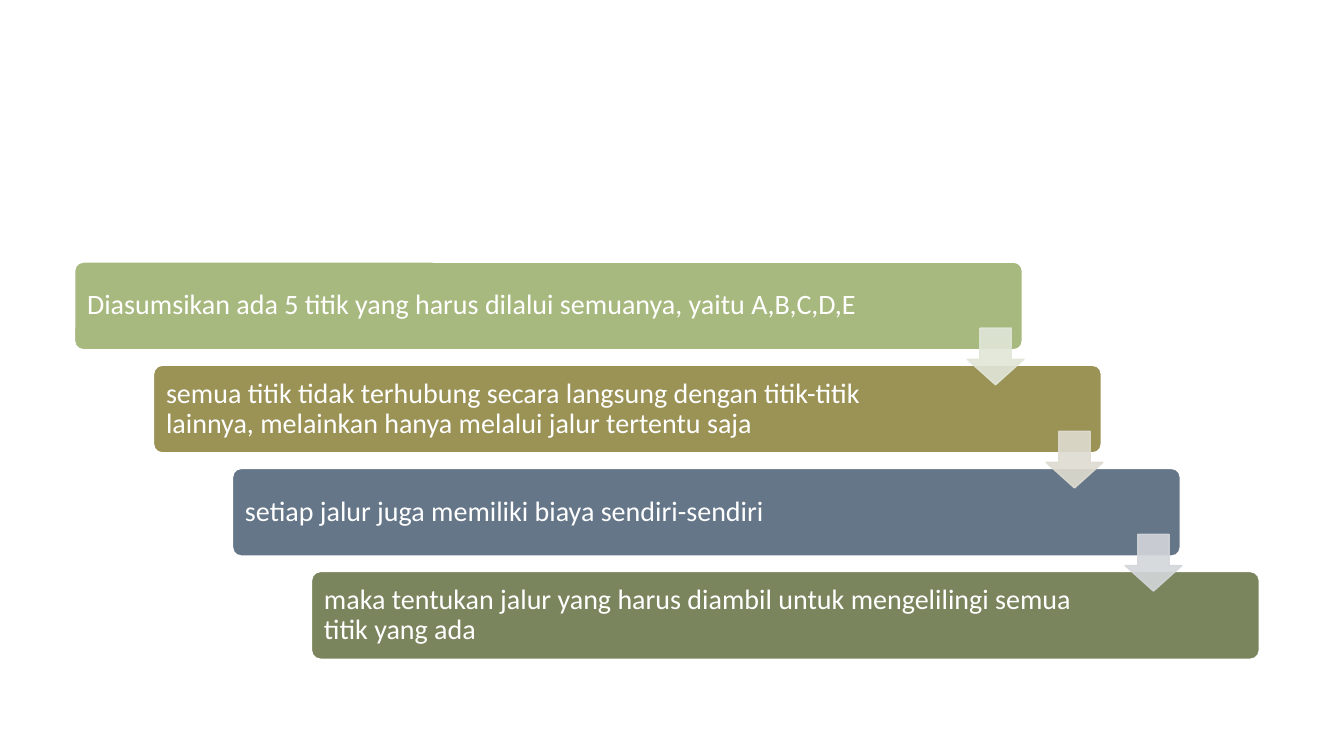
from lxml.etree import SubElement
from pptx import Presentation
from pptx.dml.color import RGBColor
from pptx.enum.shapes import MSO_SHAPE as Preset
from pptx.enum.text import MSO_ANCHOR as Anchor, PP_ALIGN as Align
from pptx.oxml.ns import qn
from pptx.util import Inches, Pt

LEFT, TOP = 0.74, 2.6
COLUMN, ROW = 2.35 / 3, 3.07 / 3
BAR_SIZE = 12, 0.85
ARROW_SIZE = 0.72, 0.55
ARROW_OFFSET = 11.3, 0.64

STEPS = [
    ("Diasumsikan ada 5 titik yang harus dilalui semuanya, yaitu A,B,C,D,E", "A8B97F"),
    ("semua titik tidak terhubung secara langsung dengan titik-titik lainnya, "
     "melainkan hanya melalui jalur tertentu saja", "9B9256"),
    ("setiap jalur juga memiliki biaya sendiri-sendiri", "657689"),
    ("maka tentukan jalur yang harus diambil untuk mengelilingi semua titik yang ada", "7A855D"),
]
ARROW_COLORS = ["E1E6D8", "DEDCD1", "D3D6DA"]


def paint(color_format, color, opacity=100):
    """Colour a solid fill, with opacity in percent."""
    color_format.solid()
    color_format.fore_color.rgb = RGBColor.from_string(color)
    if opacity < 100:
        for srgb in color_format._xPr.iter(qn("a:srgbClr")):
            SubElement(srgb, qn("a:alpha"), val=str(opacity * 1000))


def write(frame, text, font="Calibri", size=20, color="FFFFFF", spacing=0.9):
    paragraph = frame.paragraphs[0]
    paragraph.alignment = Align.LEFT
    paragraph.line_spacing = spacing
    run = paragraph.add_run()
    run.text = text
    run.font.name, run.font.size = font, Pt(size)
    paint(run.font.fill, color)


class StaircaseSlide:
    def __init__(self, deck):
        self.slide = deck.slides.add_slide(deck.slide_layouts[6])

    def block(self, preset, column, row, size, fill, outline, opacity=100):
        """Add a preset shape placed and sized in grid columns and rows."""
        width, height = size
        block = self.slide.shapes.add_shape(
            preset, Inches(LEFT + column * COLUMN), Inches(TOP + row * ROW),
            Inches(width * COLUMN), Inches(height * ROW))
        block.shadow.inherit = False
        paint(block.fill, fill, opacity)
        paint(block.line.fill, outline, opacity)
        block.line.width = Pt(1)
        return block

    def bar(self, level, text, fill):
        bar = self.block(Preset.ROUNDED_RECTANGLE, level, level, BAR_SIZE, fill, "FFFFFF")
        bar.adjustments[0] = 0.1
        frame = bar.text_frame
        frame.word_wrap = True
        frame.vertical_anchor = Anchor.MIDDLE
        frame.margin_left, frame.margin_right = Inches(0.1), Inches(1.46)
        write(frame, text)

    def arrow(self, level, color):
        across, down = ARROW_OFFSET
        arrow = self.block(Preset.DOWN_ARROW, level + across, level + down,
                           ARROW_SIZE, color, color, opacity=90)
        arrow.adjustments[0], arrow.adjustments[1] = 0.55, 0.45


def main():
    deck = Presentation()
    deck.slide_width, deck.slide_height = Inches(13.33), Inches(7.5)
    staircase = StaircaseSlide(deck)
    for level, (text, fill) in enumerate(STEPS):
        staircase.bar(level, text, fill)
    for level, color in enumerate(ARROW_COLORS):
        staircase.arrow(level, color)
    deck.save("out.pptx")


if __name__ == "__main__":
    main()
